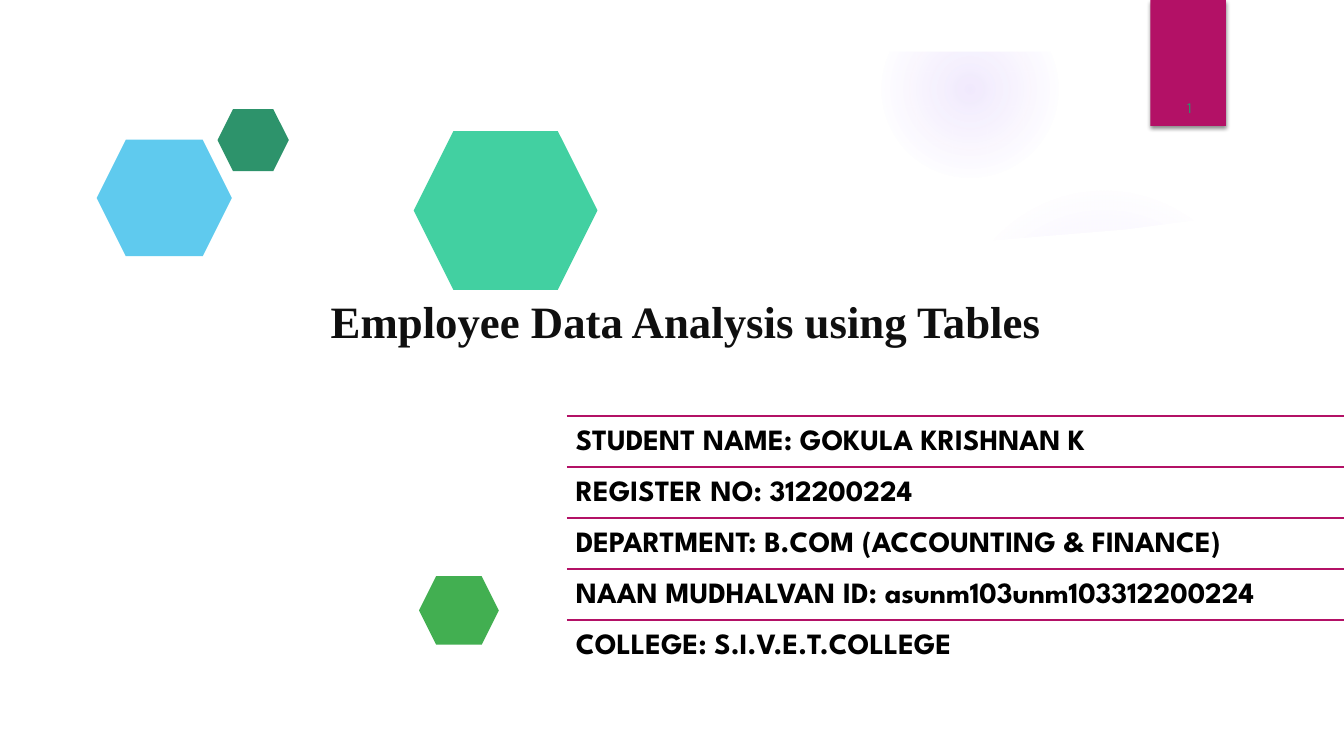
from dataclasses import dataclass

from lxml import etree
from pptx import Presentation
from pptx.dml.color import RGBColor
from pptx.enum import shapes, text
from pptx.oxml import parse_xml
from pptx.oxml.ns import nsdecls, qn
from pptx.util import Pt


@dataclass(frozen=True)
class Theme:
    white: str = "FFFFFF"
    black: str = "000000"
    ink: str = "0F0F0F"
    accent: str = "B31166"
    glow: str = "9B6BF2"
    blue: str = "5FCAEE"
    teal: str = "2D936B"
    mint: str = "42D0A1"
    green: str = "42AF51"
    title_font: str = "Times New Roman"
    body_font: str = "League Spartan"
    number_font: str = "Karla"
    title_size: float = 32
    body_size: float = 21
    number_size: float = 11


@dataclass(frozen=True)
class Box:
    left: float
    top: float
    width: float
    height: float

    def lengths(self) -> tuple:
        return Pt(self.left), Pt(self.top), Pt(self.width), Pt(self.height)


@dataclass(frozen=True)
class Hexagon:
    box: Box
    color: str


@dataclass(frozen=True)
class Glow:
    box: Box
    stops: tuple  # (position %, opacity %)


THEME = Theme()
SLIDE_W, SLIDE_H = 960, 540

GLOWS = (
    Glow(Box(677.5, 131.8, 221.8, 221.8), ((0, 7), (36, 6), (69, 0))),
    Glow(Box(630, 0.7, 126, 126), ((0, 14), (36, 7), (73, 0))),
)
HEXAGONS = (
    Hexagon(Box(69.1, 99.8, 96.5, 83.2), THEME.blue),
    Hexagon(Box(155.4, 77.9, 50.9, 44.3), THEME.teal),
    Hexagon(Box(295.5, 93.6, 131.3, 113.4), THEME.mint),
    Hexagon(Box(299.3, 411.6, 57, 48.9), THEME.green),
)
PANEL = [(36, 504), (36, 147), (179, 163.5), (320, 173.5), (510, 178.5), (683, 173.5),
         (743, 169), (803.5, 163.5), (864, 156), (924.5, 147), (924.5, 504)]
FRAME_OUTER = [(0, 0), (0, SLIDE_H), (SLIDE_W, SLIDE_H), (SLIDE_W, 0)]
FRAME_INNER = [(922.3, 502.6), (37.4, 502.6), (37.4, 37.4), (922.3, 37.4)]

DETAILS = (
    "STUDENT NAME: GOKULA KRISHNAN K",
    "REGISTER NO: 312200224",
    "DEPARTMENT: B.COM (ACCOUNTING & FINANCE)",
    "NAAN MUDHALVAN ID: asunm103unm103312200224",
    "COLLEGE: S.I.V.E.T.COLLEGE",
)
DETAILS_LEFT, DETAILS_TOP, DETAILS_PITCH = 405, 297.2, 36.4


def paint(sp, color: str) -> None:
    sp.shadow.inherit = False
    sp.fill.solid()
    sp.fill.fore_color.rgb = RGBColor.from_string(color)
    sp.line.fill.background()


def add_preset(slide, kind, box: Box, color: str):
    sp = slide.shapes.add_shape(kind, *box.lengths())
    paint(sp, color)
    return sp


def add_outline(slide, color: str, *contours: list) -> None:
    """Draw closed contours as one shape; a second contour is a hole."""
    first, *holes = contours
    builder = slide.shapes.build_freeform(*first[0], scale=Pt(1))
    builder.add_line_segments(first[1:])
    for hole in holes:
        builder.move_to(*hole[0])
        builder.add_line_segments(hole[1:])
    paint(builder.convert_to_shape(), color)


def add_glow(slide, glow: Glow) -> None:
    sp = add_preset(slide, shapes.MSO_SHAPE.OVAL, glow.box, THEME.glow)
    stops = "".join(
        f'<a:gs pos="{pos * 1000}"><a:srgbClr val="{THEME.glow}">'
        f'<a:alpha val="{alpha * 1000}"/></a:srgbClr></a:gs>'
        for pos, alpha in glow.stops)
    gradient = parse_xml(
        f'<a:gradFill {nsdecls("a")}><a:gsLst>{stops}</a:gsLst><a:path path="circle">'
        '<a:fillToRect l="50000" t="50000" r="50000" b="50000"/></a:path></a:gradFill>')
    props = sp._element.spPr
    props.replace(props.find(qn("a:solidFill")), gradient)


def add_tag(slide) -> None:
    sp = add_preset(slide, shapes.MSO_SHAPE.RECTANGLE, Box(821.7, 0, 54, 90), THEME.accent)
    shadow = parse_xml(
        f'<a:outerShdw {nsdecls("a")} blurRad="{Pt(3)}" dist="{Pt(2)}" dir="5400000">'
        '<a:srgbClr val="000000"><a:alpha val="45000"/></a:srgbClr></a:outerShdw>')
    sp._element.spPr.find(qn("a:effectLst")).append(shadow)


def write(sp, words: str, font: str, size: float, color: str, bold: bool = False,
          anchor=text.MSO_ANCHOR.TOP, align=text.PP_ALIGN.LEFT,
          inset_x: float = 0, inset_y: float = 0):
    tf = sp.text_frame
    tf.word_wrap = True
    tf.auto_size = text.MSO_AUTO_SIZE.NONE
    tf.vertical_anchor = anchor
    tf.margin_left = tf.margin_right = Pt(inset_x)
    tf.margin_top = tf.margin_bottom = Pt(inset_y)
    p = tf.paragraphs[0]
    p.alignment = align
    r = p.add_run()
    r.text = words
    r.font.name, r.font.size, r.font.bold = font, Pt(size), bold
    r.font.color.rgb = RGBColor.from_string(color)
    return p


def add_rule(slide, top: float) -> None:
    rule = slide.shapes.add_connector(
        shapes.MSO_CONNECTOR.STRAIGHT, Pt(DETAILS_LEFT), Pt(top), Pt(SLIDE_W), Pt(top))
    rule.line.width = Pt(1.5)
    rule.line.color.rgb = RGBColor.from_string(THEME.accent)
    etree.SubElement(rule._element.spPr, qn("a:effectLst"))


def add_detail(slide, row: int, words: str) -> None:
    top = DETAILS_TOP + row * DETAILS_PITCH
    add_rule(slide, top)
    box = Box(DETAILS_LEFT, top, SLIDE_W - DETAILS_LEFT, DETAILS_PITCH)
    sp = slide.shapes.add_textbox(*box.lengths())
    p = write(sp, words, THEME.body_font, THEME.body_size, THEME.black, bold=True,
              inset_x=6.3, inset_y=6.3)
    p.line_spacing = 0.9


def place_title(slide) -> None:
    title = slide.shapes.title
    slide.shapes._spTree.append(title._element)  # above the white panel
    title.left, title.top, title.width, title.height = Box(236.2, 206.6, 533.5, 79.2).lengths()
    write(title, "Employee Data Analysis using Tables", THEME.title_font,
          THEME.title_size, THEME.ink, bold=True, inset_y=3)


def main() -> None:
    prs = Presentation()
    prs.slide_width, prs.slide_height = Pt(SLIDE_W), Pt(SLIDE_H)
    slide = prs.slides.add_slide(prs.slide_layouts[5])

    for glow in GLOWS:
        add_glow(slide, glow)
    add_outline(slide, THEME.white, PANEL)
    add_outline(slide, THEME.white, FRAME_OUTER, FRAME_INNER)
    add_tag(slide)
    for hexagon in HEXAGONS:
        add_preset(slide, shapes.MSO_SHAPE.HEXAGON, hexagon.box, hexagon.color)
    place_title(slide)
    number = slide.shapes.add_textbox(*Box(816.5, 23, 66.2, 60.5).lengths())
    write(number, "1", THEME.number_font, THEME.number_size, THEME.teal,
          anchor=text.MSO_ANCHOR.BOTTOM, align=text.PP_ALIGN.CENTER)
    for row, words in enumerate(DETAILS):
        add_detail(slide, row, words)

    prs.save("out.pptx")


if __name__ == "__main__":
    main()
